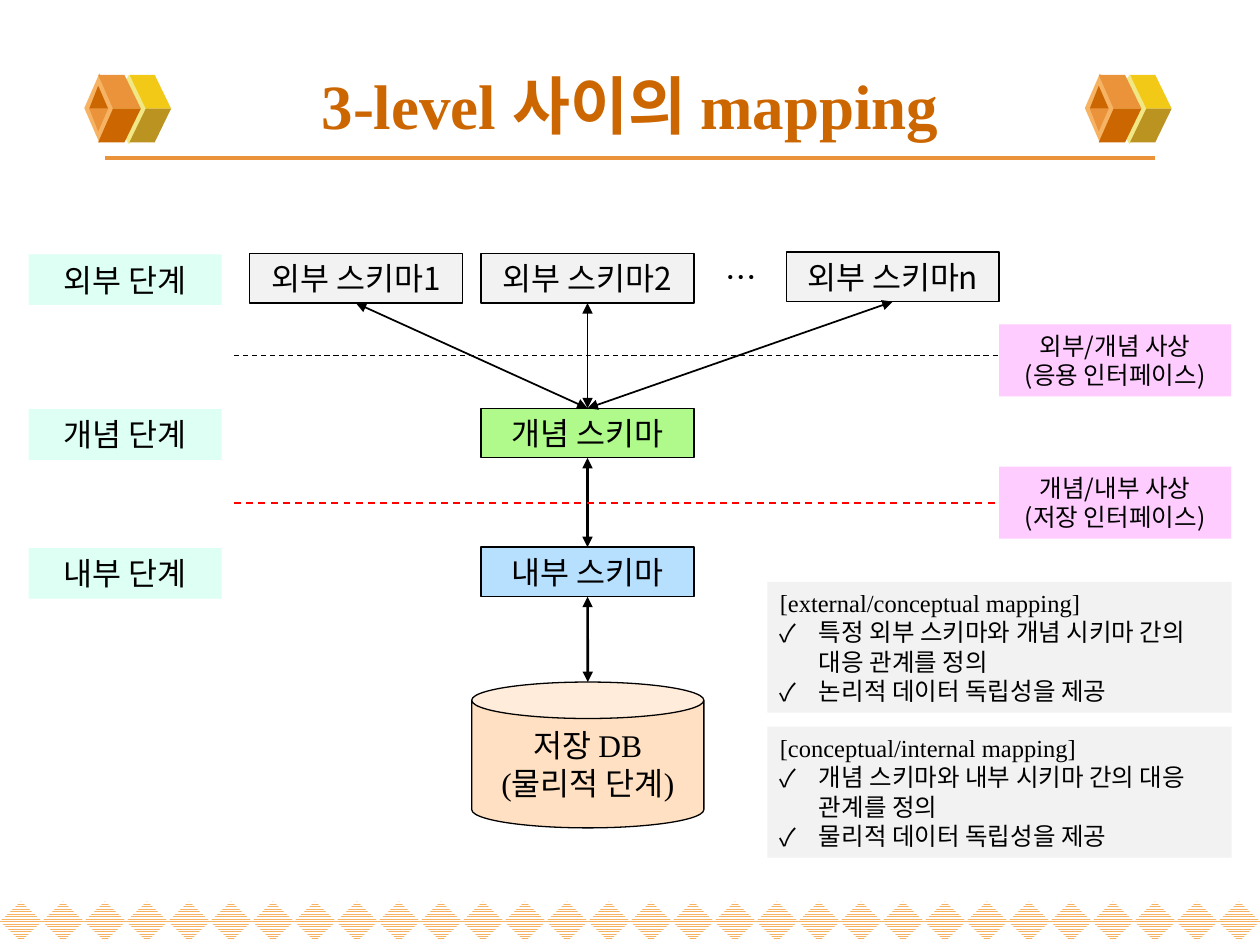
from pptx import Presentation
from pptx import util as u
from pptx.dml.color import RGBColor
from pptx.enum import dml, shapes, text
from pptx.oxml import ns, xmlchemy

SERIF, SANS = "Times New Roman", "Noto Sans CJK KR"
BLACK = RGBColor(0x00, 0x00, 0x00)
WHITE = RGBColor(0xFF, 0xFF, 0xFF)
RED = RGBColor(0xFF, 0x00, 0x00)
RUST = RGBColor(0xCC, 0x66, 0x00)
ORANGE = RGBColor(0xEB, 0x93, 0x3B)
APRICOT = RGBColor(0xF5, 0xB3, 0x63)
CREAM = RGBColor(0xF1, 0xE7, 0x85)
YELLOW = RGBColor(0xF3, 0xC9, 0x17)
OLIVE = RGBColor(0xBB, 0x93, 0x21)
MINT = RGBColor(0xDD, 0xFF, 0xF4)
GREY = RGBColor(0xF2, 0xF2, 0xF2)
GREEN = RGBColor(0xAF, 0xFA, 0x8A)
BLUE = RGBColor(0xB7, 0xE0, 0xFF)
PEACH = RGBColor(0xFF, 0xE0, 0xC2)
PINK = RGBColor(0xFF, 0xCC, 0xFF)


def add_element(parent, tag, **attributes):
    """Append a drawing element with the given attributes."""
    child = xmlchemy.OxmlElement(tag)
    for name, value in attributes.items():
        child.set(name, value)
    parent.append(child)


def style_text(para, size, font, color=BLACK, bold=False):
    """Format every run of a paragraph, with the Korean font for Hangul."""
    for span in para.runs:
        span.font.size, span.font.bold = u.Pt(size), bold
        span.font.color.rgb = color
        span.font.name = font
        add_element(span.font._element, "a:ea", typeface=SANS)


def paint(shape, fill, outlined=False):
    """Give a shape a flat fill and an optional thin black outline."""
    shape.shadow.inherit = False
    shape.fill.solid()
    shape.fill.fore_color.rgb = fill
    if outlined:
        shape.line.color.rgb, shape.line.width = BLACK, u.Pt(0.75)
    else:
        shape.line.fill.background()


def add_block(page, kind, box, fill, outlined=False):
    """Add a painted preset shape in a box of centimetres."""
    block = page.shapes.add_shape(kind, *map(u.Cm, box))
    paint(block, fill, outlined)
    return block


def write(shape, words, size, font, align=text.PP_ALIGN.CENTER,
          anchor=text.MSO_ANCHOR.MIDDLE):
    """Fill a shape with formatted lines of text."""
    frame = shape.text_frame
    frame.text, frame.word_wrap, frame.vertical_anchor = words, True, anchor
    for para in frame.paragraphs:
        para.alignment = align
        style_text(para, size, font)


def add_line(page, start, end, color, width):
    """Draw a straight connector without shadow between two points."""
    line = page.shapes.add_connector(shapes.MSO_CONNECTOR.STRAIGHT, *start, *end)
    line.line.color.rgb, line.line.width = color, u.Pt(width)
    add_element(line.element.spPr, "a:effectLst")
    return line


def add_arrow(page, upper, lower, width):
    """Join the bottom of one shape to the top of another, arrowed at both ends."""
    start = upper.left + upper.width // 2, upper.top + upper.height
    end = lower.left + lower.width // 2, lower.top
    arrow = add_line(page, start, end, BLACK, width)
    outline = arrow.element.spPr.find(ns.qn("a:ln"))
    for tag in ("a:headEnd", "a:tailEnd"):
        add_element(outline, tag, type="triangle")


def add_emblem(page, left, top):
    """Draw the hexagonal ornament from mirrored upper and lower faces."""
    diamond, middle = shapes.MSO_SHAPE.DIAMOND, 0.71
    add_block(page, diamond, (left + 0.48, top + 0.03, 0.84, 1.4), CREAM)
    add_block(page, diamond, (left, top, 0.61, 1.4), APRICOT)
    faces = [
        ([(1.24, middle), (1.75, middle), (1.42, 0.03), (0.91, 0.03)], YELLOW, OLIVE),
        ([(0.58, middle), (1.14, middle), (0.81, 0.03), (0.28, 0.03)], ORANGE, RUST),
        ([(0.28, 0.25), (0.1, middle), (0.48, middle)], RUST, ORANGE),
    ]
    for corners, upper, lower in faces:
        for color, sign in ((upper, 1), (lower, -1)):
            points = [(u.Cm(left + x), u.Cm(top + middle + sign * (y - middle)))
                      for x, y in corners]
            outline = page.shapes.build_freeform(*points[0])
            outline.add_line_segments(points[1:])
            paint(outline.convert_to_shape(), color)


def add_header(page, left, top, width, height):
    """Set the title, its rule and the ornaments at both sides."""
    title = page.shapes.title
    title.left, title.top, title.width, title.height = map(
        u.Cm, (left, top, width, height))
    write(title, "3-level 사이의 mapping", 36, SERIF)
    style_text(title.text_frame.paragraphs[0], 36, SERIF, RUST, True)
    bottom = u.Cm(top + height)
    add_line(page, (u.Cm(left + 0.85), bottom),
             (u.Cm(left + width - 0.85), bottom), ORANGE, 2.25)
    for offset in (0.43, 20.6):
        add_emblem(page, left + offset, top + 0.46)


def add_border(page, left, top, width, height, count=30):
    """Line up hatched diamonds along the foot of the page."""
    step = width / count
    for index in range(count):
        box = left + index * step, top, step, height
        diamond = add_block(page, shapes.MSO_SHAPE.DIAMOND, box, WHITE)
        diamond.fill.patterned()
        diamond.fill.pattern = dml.MSO_PATTERN.NARROW_HORIZONTAL
        diamond.fill.fore_color.rgb = APRICOT
        diamond.fill.back_color.rgb = WHITE


def add_levels(page, left, top):
    """Draw the three levels, their schemas, the mappings and the database."""
    rectangle = shapes.MSO_SHAPE.RECTANGLE
    rows = 0, 3.12, 5.92

    def add_schema(x, y, words, fill):
        """Add an outlined schema box relative to the diagram."""
        schema = add_block(page, rectangle, (left + x, top + y, 4.29, 1), fill, True)
        write(schema, words, 18, SANS)
        return schema

    for y, name in zip(rows, ("외부 단계", "개념 단계", "내부 단계")):
        label = add_block(page, rectangle, (left, top + y + 0.02, 3.89, 1.02), MINT)
        write(label, name, 18, SERIF, anchor=text.MSO_ANCHOR.TOP)

    externals = [add_schema(x, y, f"외부 스키마{mark}", GREY)
                 for x, y, mark in ((4.45, 0, "1"), (9.12, 0, "2"), (15.27, -0.03, "n"))]
    dots = page.shapes.add_textbox(*map(u.Cm, (left + 13.8, top - 0.03, 1.09, 1.02)))
    write(dots, "…", 18, SANS, text.PP_ALIGN.LEFT, text.MSO_ANCHOR.TOP)
    concept = add_schema(9.12, rows[1], "개념 스키마", GREEN)
    internal = add_schema(9.12, rows[2], "내부 스키마", BLUE)
    database = add_block(page, shapes.MSO_SHAPE.CAN,
                         (left + 8.93, top + 8.64, 4.68, 2.94), PEACH, True)
    write(database, "저장 DB\n(물리적 단계)", 18, SERIF)

    add_arrow(page, internal, database, 1.5)
    add_arrow(page, concept, internal, 1.5)
    for external in externals:
        add_arrow(page, external, concept, 1)

    mappings = [
        (2.06, 1.43, BLACK, 0.75, "외부/개념 사상\n(응용 인터페이스)"),
        (5.03, 4.3, RED, 1, "개념/내부 사상\n(저장 인터페이스)"),
    ]
    for y, label_top, color, width, words in mappings:
        divider = add_line(page, (u.Cm(left + 4.14), u.Cm(top + y)),
                           (u.Cm(left + 19.56), u.Cm(top + y)), color, width)
        divider.line.dash_style = dml.MSO_LINE.DASH
        label = add_block(page, rectangle,
                          (left + 19.56, top + label_top, 4.68, 1.45), PINK)
        write(label, words, 14, SANS, anchor=text.MSO_ANCHOR.TOP)


def add_note(page, box, heading, points):
    """Add a grey note with a heading and ticked points."""
    note = add_block(page, shapes.MSO_SHAPE.RECTANGLE, box, GREY)
    write(note, "\n".join([heading, *points]), 14, SERIF,
          text.PP_ALIGN.LEFT, text.MSO_ANCHOR.TOP)
    for para in note.text_frame.paragraphs[1:]:
        layout = para._p.get_or_add_pPr()
        layout.set("marL", str(u.Cm(0.79)))
        layout.set("indent", str(u.Cm(-0.79)))
        add_element(layout, "a:buFont", typeface=SANS)
        add_element(layout, "a:buChar", char="✓")


def main():
    """Build the slide and save the deck."""
    deck = Presentation()
    deck.slide_width, deck.slide_height = u.Cm(25.4), u.Cm(19.05)
    page = deck.slides.add_slide(deck.slide_layouts[5])
    add_border(page, 0, 18.17, 25.4, 0.81)
    add_header(page, 1.27, 1.02, 22.86, 2.16)
    add_levels(page, 0.58, 5.11)
    add_note(page, (15.47, 11.73, 9.36, 2.64), "[external/conceptual mapping]",
             ["특정 외부 스키마와 개념 시키마 간의 대응 관계를 정의",
              "논리적 데이터 독립성을 제공"])
    add_note(page, (15.47, 14.65, 9.36, 2.64), "[conceptual/internal mapping]",
             ["개념 스키마와 내부 시키마 간의 대응 관계를 정의",
              "물리적 데이터 독립성을 제공"])
    deck.save("out.pptx")


if __name__ == "__main__":
    main()
